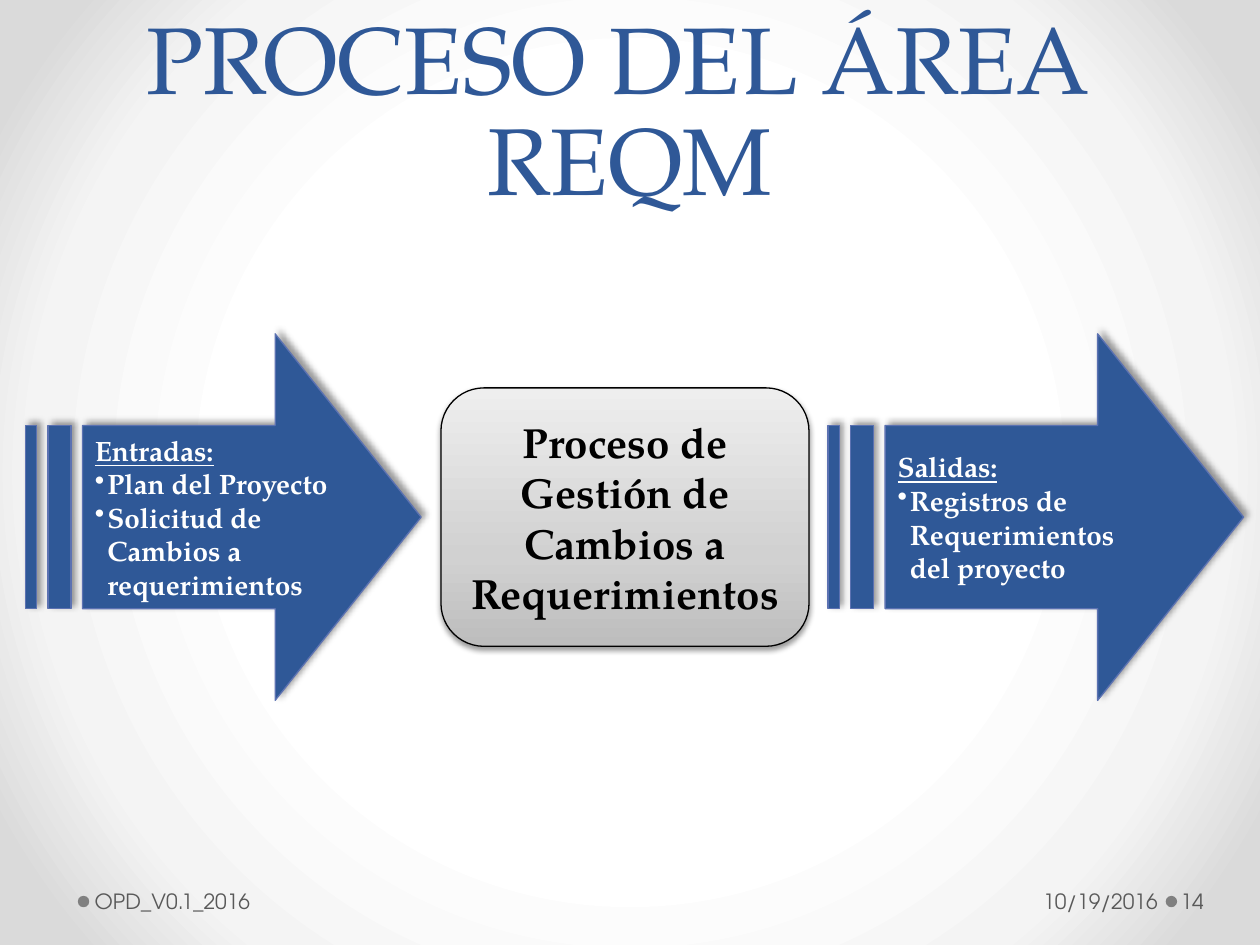
from lxml.etree import SubElement
from pptx import Presentation
from pptx.dml.color import RGBColor
from pptx.enum.shapes import MSO_SHAPE as Shape
from pptx.enum.text import MSO_ANCHOR as Anchor, MSO_AUTO_SIZE as AutoSize, PP_ALIGN as Align
from pptx.oxml.ns import qn
from pptx.util import Cm, Pt

SERIF, SANS = "TeX Gyre Pagella", "TeX Gyre Adventor"
BLUE = RGBColor(0x2F, 0x58, 0x97)
BLUE_EDGE = RGBColor(0x5C, 0x72, 0xB2)
GREY = RGBColor(0x80, 0x80, 0x80)
FOOTER_GREY = RGBColor(0x59, 0x59, 0x59)
WHITE = RGBColor(0xFF, 0xFF, 0xFF)
BLACK = RGBColor(0, 0, 0)
BACKGROUND_STOPS = [(50, WHITE), (76, RGBColor(0xF4, 0xF4, 0xF4)), (92, RGBColor(0xDA, 0xDA, 0xDA))]
PROCESS_STOPS = [(0, RGBColor(0xBD, 0xBD, 0xBD)), (35, RGBColor(0xD1, 0xD1, 0xD1)),
                 (100, RGBColor(0xEE, 0xEE, 0xEE))]

TITLE = "PROCESO DEL ÁREA \vREQM"
PROCESS = "Proceso de Gestión de Cambios a Requerimientos"
ARROWS = [
    (0.51, 7.98, "Entradas:", ["Plan del Proyecto", "Solicitud de Cambios a requerimientos"]),
    (16.69, 8.38, "Salidas:", ["Registros de Requerimientos del proyecto"]),
]
FOOTERS = [
    (17.68, 5.79, 0.25, Align.RIGHT, "10/19/2016"),
    (23.72, 1.55, 0.08, Align.LEFT, "14"),
    (1.83, 10.06, 0.08, Align.LEFT, "OPD_V0.1_2016"),
]
DOTS = [23.5, 1.57]


def set_gradient(fill, owner, stops, angle=None):
    fill.gradient()
    gradient = owner.find(qn("a:gradFill"))
    for child in list(gradient):
        gradient.remove(child)
    stop_list = SubElement(gradient, qn("a:gsLst"))
    for position, color in stops:
        stop = SubElement(stop_list, qn("a:gs"), pos=str(position * 1000))
        SubElement(stop, qn("a:srgbClr"), val=str(color))
    if angle is None:
        path = SubElement(gradient, qn("a:path"), {"path": "circle"})
        SubElement(path, qn("a:fillToRect"), dict.fromkeys("ltrb", "50000"))
    else:
        SubElement(gradient, qn("a:lin"), ang=str(angle * 60000), scaled="0")


def add_shadow(shape, alpha, blur, distance, angle):
    effects = shape._element.spPr.find(qn("a:effectLst"))
    shadow = SubElement(effects, qn("a:outerShdw"), blurRad=str(Pt(blur)), dist=str(Pt(distance)),
                        dir=str(angle * 60000), algn="ctr", rotWithShape="0")
    color = SubElement(shadow, qn("a:srgbClr"), val=str(BLACK))
    SubElement(color, qn("a:alpha"), val=str(alpha * 1000))


def add_shape(page, kind, left, top, width, height, fill=None, line=None):
    shape = page.shapes.add_shape(kind, Cm(left), Cm(top), Cm(width), Cm(height))
    if fill is not None:
        shape.fill.solid()
        shape.fill.fore_color.rgb = fill
    if line is None:
        shape.line.fill.background()
    else:
        shape.line.color.rgb = line
        shape.line.width = Pt(0.75)
    shape.shadow.inherit = False
    shape.text_frame.word_wrap = True
    shape.text_frame.vertical_anchor = Anchor.MIDDLE
    return shape


def add_bullet(para):
    properties = para._p.get_or_add_pPr()
    properties.set("marL", str(Cm(0.25)))
    properties.set("indent", str(-Cm(0.25)))
    SubElement(properties, qn("a:buChar"), char="•")


def style(para, name, size, color, align=Align.LEFT, bold=False, underline=False):
    para.alignment = align
    font = para.font
    font.name, font.size, font.bold, font.underline = name, Pt(size), bold, underline
    font.color.rgb = color


def add_arrow(page, left, width, heading, items):
    arrow = add_shape(page, Shape.STRIPED_RIGHT_ARROW, left, 6.73, width, 7.39, BLUE, BLUE_EDGE)
    arrow.adjustments[0], arrow.adjustments[1] = 0.5, 0.398
    add_shadow(arrow, 40, 4, 3, 315)
    frame = arrow.text_frame
    frame.text = "\n".join([heading, *items])
    for index, para in enumerate(frame.paragraphs):
        if index:
            add_bullet(para)
        style(para, SERIF, 16, WHITE, bold=True, underline=index == 0)


def add_footer(page, left, width, inset, align, text):
    box = page.shapes.add_textbox(Cm(left), Cm(17.65), Cm(width), Cm(1.02))
    frame = box.text_frame
    frame.word_wrap = True
    frame.vertical_anchor = Anchor.MIDDLE
    frame.margin_left, frame.margin_right = Cm(inset), Cm(0.13)
    frame.text = text
    style(frame.paragraphs[0], SANS, 12, FOOTER_GREY, align)


def add_title(page):
    title = page.shapes.title
    title.left, title.top, title.width, title.height = Cm(1.27), Cm(0), Cm(22.86), Cm(4.45)
    frame = title.text_frame
    frame.text = TITLE
    frame.word_wrap = True
    frame.auto_size = AutoSize.NONE
    frame.vertical_anchor = Anchor.BOTTOM
    para = frame.paragraphs[0]
    para.line_spacing = Pt(58)
    style(para, SERIF, 54, BLUE, Align.CENTER)


def add_process(page):
    box = add_shape(page, Shape.ROUNDED_RECTANGLE, 8.89, 7.82, 7.42, 5.21, line=BLACK)
    set_gradient(box.fill, box._element.spPr, PROCESS_STOPS, 270)
    add_shadow(box, 38, 3.1, 1.6, 90)
    box.text_frame.text = PROCESS
    style(box.text_frame.paragraphs[0], SERIF, 24, BLACK, Align.CENTER, bold=True)


def main():
    deck = Presentation()
    deck.slide_width, deck.slide_height = Cm(25.4), Cm(19.05)
    page = deck.slides.add_slide(deck.slide_layouts[5])
    background = page.background.fill
    background.solid()
    set_gradient(background, page._element.find(".//" + qn("p:bgPr")), BACKGROUND_STOPS)
    for left in DOTS:
        add_shape(page, Shape.OVAL, left, 18.06, 0.23, 0.23, GREY)
    add_title(page)
    for footer in FOOTERS:
        add_footer(page, *footer)
    for arrow in ARROWS:
        add_arrow(page, *arrow)
    add_process(page)
    deck.save("out.pptx")


if __name__ == "__main__":
    main()
